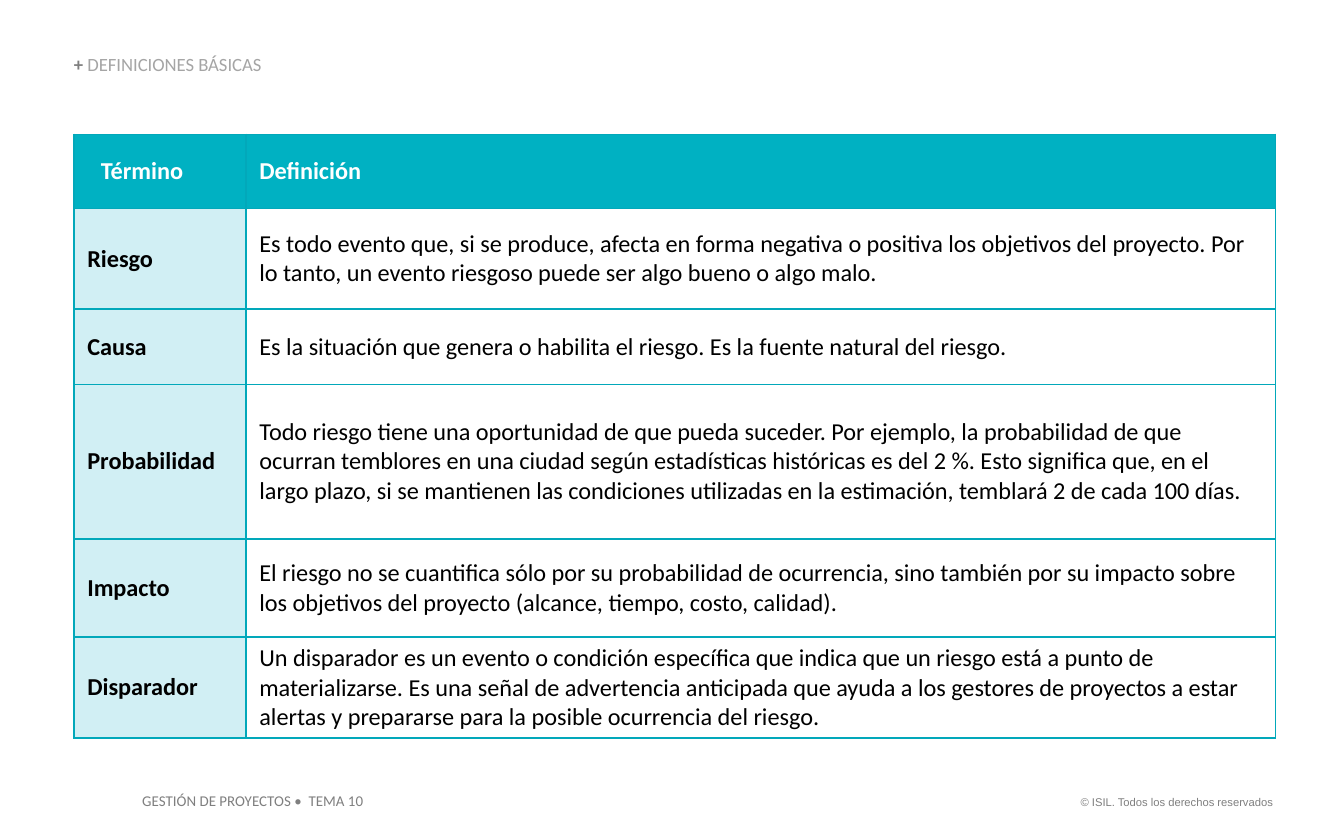
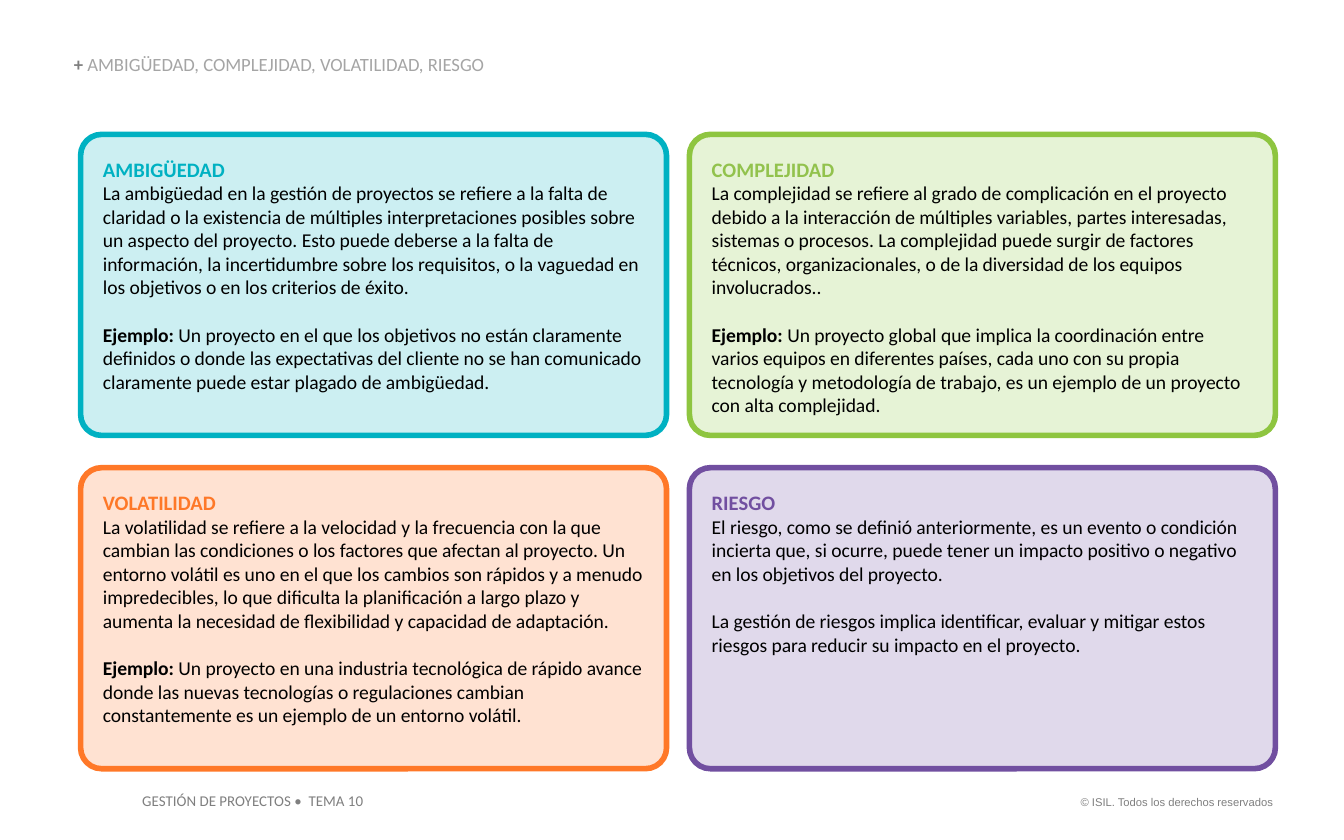
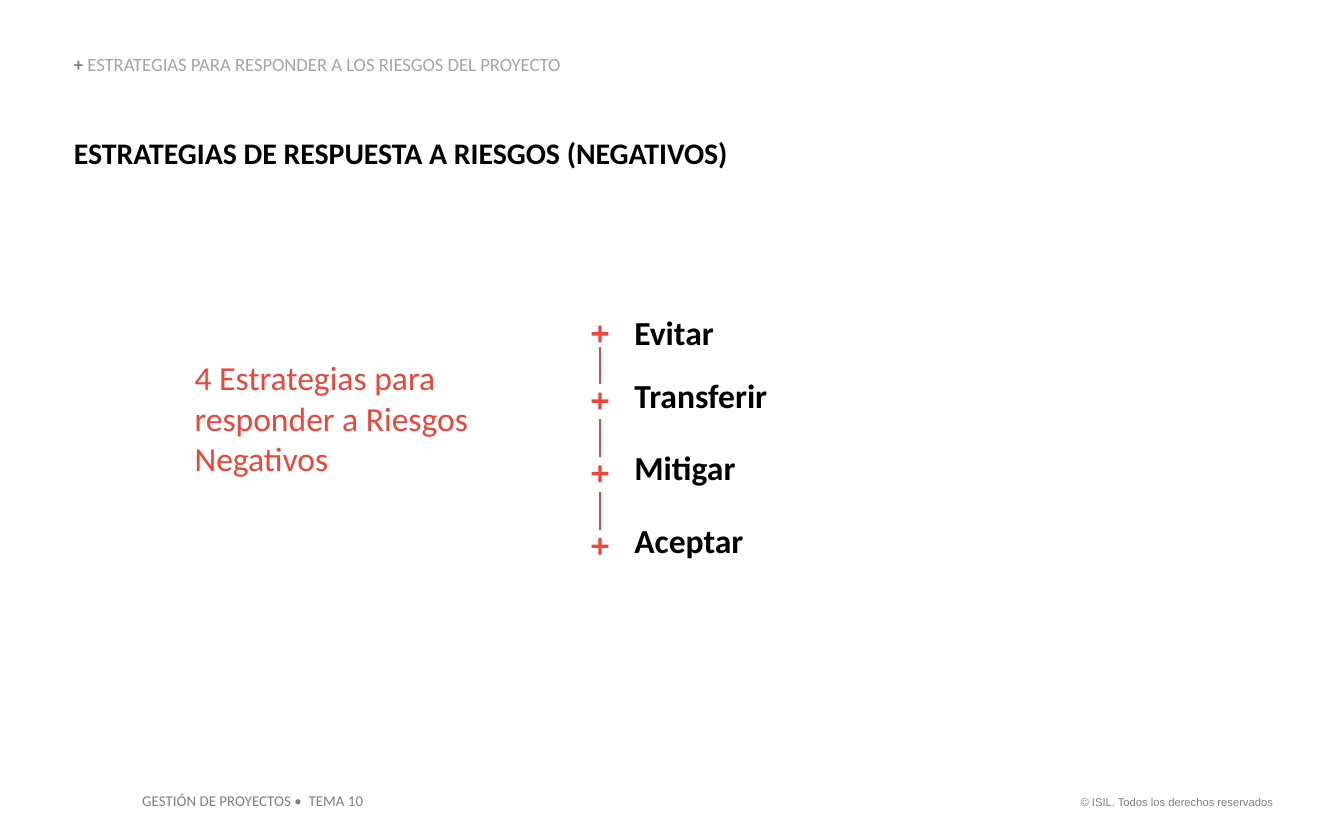
from lxml.etree import SubElement
from pptx import Presentation
from pptx.dml.color import RGBColor
from pptx.enum.shapes import MSO_CONNECTOR, MSO_SHAPE
from pptx.enum.text import MSO_ANCHOR, MSO_AUTO_SIZE, PP_ALIGN
from pptx.oxml.ns import qn
from pptx.util import Inches, Pt

# Grid: 100 columns across the slide, square cells, 62.5 rows
WIDE, HIGH = Inches(10), Inches(6.25)
CELL = WIDE / 100
LEFT, TOP = 5.5, 10
FACE = "Calibri"
INK = {
    "text": "000000", "white": "FFFFFF", "gray": "7F7F7F", "pale": "A5A5A5",
    "teal": "00B1C2", "rule": "02A8BA", "term": "D1EFF4",
    "red": "EF4539", "mark": "EE4639",
}
# Card colours: fill, line, heading
CARDS = {
    "teal": ("CCEFF2", "00B1C2", "00B1C2"),
    "green": ("E6F3D6", "8EC540", "92C24D"),
    "orange": ("FFE2D2", "FF7828", "FE7828"),
    "purple": ("E0D9EB", "714FA0", "714FA0"),
}

TERMS = [
    ("Término", "Definición", 5.5),
    ("Riesgo", "Es todo evento que, si se produce, afecta en forma negativa o positiva los objetivos del proyecto. Por lo tanto, un evento riesgoso puede ser algo bueno o algo malo.", 7.5),
    ("Causa", "Es la situación que genera o habilita el riesgo. Es la fuente natural del riesgo.", 5.6),
    ("Probabilidad", "Todo riesgo tiene una oportunidad de que pueda suceder. Por ejemplo, la probabilidad de que ocurran temblores en una ciudad según estadísticas históricas es del 2 %. Esto significa que, en el largo plazo, si se mantienen las condiciones utilizadas en la estimación, temblará 2 de cada 100 días.", 11.5),
    ("Impacto", "El riesgo no se cuantifica sólo por su probabilidad de ocurrencia, sino también por su impacto sobre los objetivos del proyecto (alcance, tiempo, costo, calidad).", 7.3),
    ("Disparador", "Un disparador es un evento o condición específica que indica que un riesgo está a punto de materializarse. Es una señal de advertencia anticipada que ayuda a los gestores de proyectos a estar alertas y prepararse para la posible ocurrencia del riesgo.", 7.3),
]
# Cards in reading order: hue, heading, body, lead word, closing text
TOPICS = [
    ("teal", "AMBIGÜEDAD",
     "La ambigüedad en la gestión de proyectos se refiere a la falta de claridad o la existencia de múltiples interpretaciones posibles sobre un aspecto del proyecto. Esto puede deberse a la falta de información, la incertidumbre sobre los requisitos, o la vaguedad en los objetivos o en los criterios de éxito.",
     "Ejemplo:", " Un proyecto en el que los objetivos no están claramente definidos o donde las expectativas del cliente no se han comunicado claramente puede estar plagado de ambigüedad."),
    ("green", "COMPLEJIDAD",
     "La complejidad se refiere al grado de complicación en el proyecto debido a la interacción de múltiples variables, partes interesadas, sistemas o procesos. La complejidad puede surgir de factores técnicos, organizacionales, o de la diversidad de los equipos involucrados..",
     "Ejemplo:", " Un proyecto global que implica la coordinación entre varios equipos en diferentes países, cada uno con su propia tecnología y metodología de trabajo, es un ejemplo de un proyecto con alta complejidad."),
    ("orange", "VOLATILIDAD",
     "La volatilidad se refiere a la velocidad y la frecuencia con la que cambian las condiciones o los factores que afectan al proyecto. Un entorno volátil es uno en el que los cambios son rápidos y a menudo impredecibles, lo que dificulta la planificación a largo plazo y aumenta la necesidad de flexibilidad y capacidad de adaptación.",
     "Ejemplo:", " Un proyecto en una industria tecnológica de rápido avance donde las nuevas tecnologías o regulaciones cambian constantemente es un ejemplo de un entorno volátil."),
    ("purple", "RIESGO",
     "El riesgo, como se definió anteriormente, es un evento o condición incierta que, si ocurre, puede tener un impacto positivo o negativo en los objetivos del proyecto.",
     "", "La gestión de riesgos implica identificar, evaluar y mitigar estos riesgos para reducir su impacto en el proyecto."),
]
# Strategies with their row offsets
STEPS = [("Evitar", 0), ("Transferir", 5), ("Mitigar", 10.4), ("Aceptar", 15.8)]


def grid(*vals):
    return [round(v * CELL) for v in vals]


def tint(hue):
    return RGBColor.from_string(hue)


def paint(fill, hue):
    fill.solid()
    fill.fore_color.rgb = tint(hue)


def style(para, size, hue, bold=False, face=FACE):
    font = para.font
    font.name, font.size, font.bold = face, Pt(size), bold
    font.color.rgb = tint(hue)


def inset(frame, *sides):
    (frame.margin_left, frame.margin_top,
     frame.margin_right, frame.margin_bottom) = grid(*sides)


def label(slide, box, text, size, hue, bold=False, face=FACE,
          align=PP_ALIGN.LEFT, pad=(1, 0.5, 1, 0.5), lead=1.0):
    frame = slide.shapes.add_textbox(*grid(*box)).text_frame
    frame.word_wrap = True
    inset(frame, *pad)
    para = frame.paragraphs[0]
    para.text, para.alignment, para.line_spacing = text, align, lead
    style(para, size, hue, bold, face)


# Shared title and footers
def start(deck, title, wide):
    slide = deck.slides.add_slide(deck.slide_layouts[5])
    head = slide.shapes.title
    head.left, head.top, head.width, head.height = grid(LEFT, 4.1, wide, 1.5)
    frame = head.text_frame
    frame.auto_size, frame.word_wrap = MSO_AUTO_SIZE.NONE, True
    frame.vertical_anchor = MSO_ANCHOR.BOTTOM
    inset(frame, 0, 0, 0, 0)
    para = frame.paragraphs[0]
    para.alignment, para.line_spacing = PP_ALIGN.LEFT, 0.9
    style(para, 10, INK["pale"])
    for text, hue, bold in (("+ ", "gray", True), (title, "pale", False)):
        run = para.add_run()
        run.text, run.font.bold = text, bold
        run.font.color.rgb = tint(INK[hue])
    label(slide, (79.1, 58.7, 16.6, 2), "© ISIL. Todos los derechos reservados",
          6, INK["gray"], face="Arial", align=PP_ALIGN.RIGHT)
    label(slide, (9.6, 58.4, 19, 2.4), "GESTIÓN DE PROYECTOS •  TEMA 10",
          8, INK["gray"])
    return slide


def border(cell, hue):
    props = cell._tc.get_or_add_tcPr()
    for spot, side in enumerate(("lnL", "lnR", "lnT", "lnB")):
        line = props.makeelement(qn("a:" + side), {"w": str(Pt(1))})
        fill = SubElement(line, qn("a:solidFill"))
        SubElement(fill, qn("a:srgbClr"), val=hue)
        props.insert(spot, line)


# Table of terms
def terms(slide, x, y, wide):
    tall = sum(row[2] for row in TERMS)
    table = slide.shapes.add_table(
        len(TERMS), 2, *grid(x, y, wide, tall)).table
    table.columns[0].width, table.columns[1].width = grid(12.8, wide - 12.8)
    for r, (*texts, high) in enumerate(TERMS):
        table.rows[r].height = grid(high)[0]
        for c, text in enumerate(texts):
            cell = table.cell(r, c)
            cell.vertical_anchor = MSO_ANCHOR.MIDDLE
            inset(cell, 1, 0.5, 1, 0.5)
            back = "teal" if r == 0 else "white" if c else "term"
            paint(cell.fill, INK[back])
            border(cell, INK["rule"])
            para = cell.text_frame.paragraphs[0]
            para.text = text
            if r == c == 0:
                para._p.get_or_add_pPr().set("indent", str(Inches(0.1)))
            style(para, 13, INK["text" if r else "white"], r == 0 or c == 0)


# One rounded card
def card(slide, box, hue, head, body, lead, close):
    back, edge, ink = CARDS[hue]
    shape = slide.shapes.add_shape(MSO_SHAPE.ROUNDED_RECTANGLE, *grid(*box))
    shape.adjustments[0] = 0.07
    shape.shadow.inherit = False
    paint(shape.fill, back)
    shape.line.color.rgb, shape.line.width = tint(edge), Pt(3)
    frame = shape.text_frame
    frame.word_wrap, frame.vertical_anchor = True, MSO_ANCHOR.TOP
    inset(frame, 1.2, 1.2, 1.2, 0.5)
    first, main, last = (frame.paragraphs[0], frame.add_paragraph(),
                         frame.add_paragraph())
    first.text, main.text = head, body
    style(first, 11, ink, True)
    for para in (main, last):
        style(para, 10.5, INK["text"])
    last.space_before = Pt(12.8)
    for text, bold in ((lead, True), (close, False)):
        if text:
            run = last.add_run()
            run.text, run.font.bold = text, bold
    for para in frame.paragraphs:
        para.alignment = PP_ALIGN.LEFT


# Two by two cards
def cards(slide, x, y, wide, high, gap, drop):
    for i, topic in enumerate(TOPICS):
        row, col = divmod(i, 2)
        box = (x + col * (wide + gap), y + row * (high + drop), wide, high)
        card(slide, box, *topic)


# Chain of plus marks with names
def chain(slide, x, y):
    for i, (name, drop) in enumerate(STEPS):
        top = y + drop
        if i:
            mid = x + 0.85
            line = slide.shapes.add_connector(
                MSO_CONNECTOR.STRAIGHT, *grid(mid, top - 2.4, mid, top + 0.4))
            line.line.color.rgb, line.line.width = tint(INK["mark"]), Pt(1)
            SubElement(line._element.spPr, qn("a:effectLst"))
        plus = slide.shapes.add_shape(
            MSO_SHAPE.MATH_PLUS, *grid(x, top + 0.8, 1.7, 1.7))
        plus.adjustments[0] = 0.15
        plus.shadow.inherit = False
        paint(plus.fill, INK["mark"])
        plus.line.fill.background()
        label(slide, (x + 3.4, top, 37.1, 2.7), name, 18, INK["text"], True,
              pad=(0, 0, 0, 0), lead=0.9 if i else 1.0)


def main():
    deck = Presentation()
    deck.slide_width, deck.slide_height = WIDE, HIGH

    slide = start(deck, "DEFINICIONES BÁSICAS", 26.6)
    terms(slide, LEFT, TOP, 89.4)

    slide = start(deck, "AMBIGÜEDAD, COMPLEJIDAD, VOLATILIDAD, RIESGO", 40)
    cards(slide, 6, TOP, 43.6, 22.4, 1.7, 2.4)

    slide = start(deck, "ESTRATEGIAS PARA RESPONDER A LOS RIESGOS DEL PROYECTO", 51.9)
    label(slide, (LEFT, TOP, 88.2, 2.7),
          "ESTRATEGIAS DE RESPUESTA A RIESGOS (NEGATIVOS)", 16, INK["text"],
          True, pad=(0, 0, 0, 0))
    label(slide, (13.5, 26.1, 23.7, 10.1),
          "4 Estrategias para responder a Riesgos Negativos", 18, INK["red"])
    chain(slide, 43.8, 23.2)

    deck.save("out.pptx")


if __name__ == "__main__":
    main()
